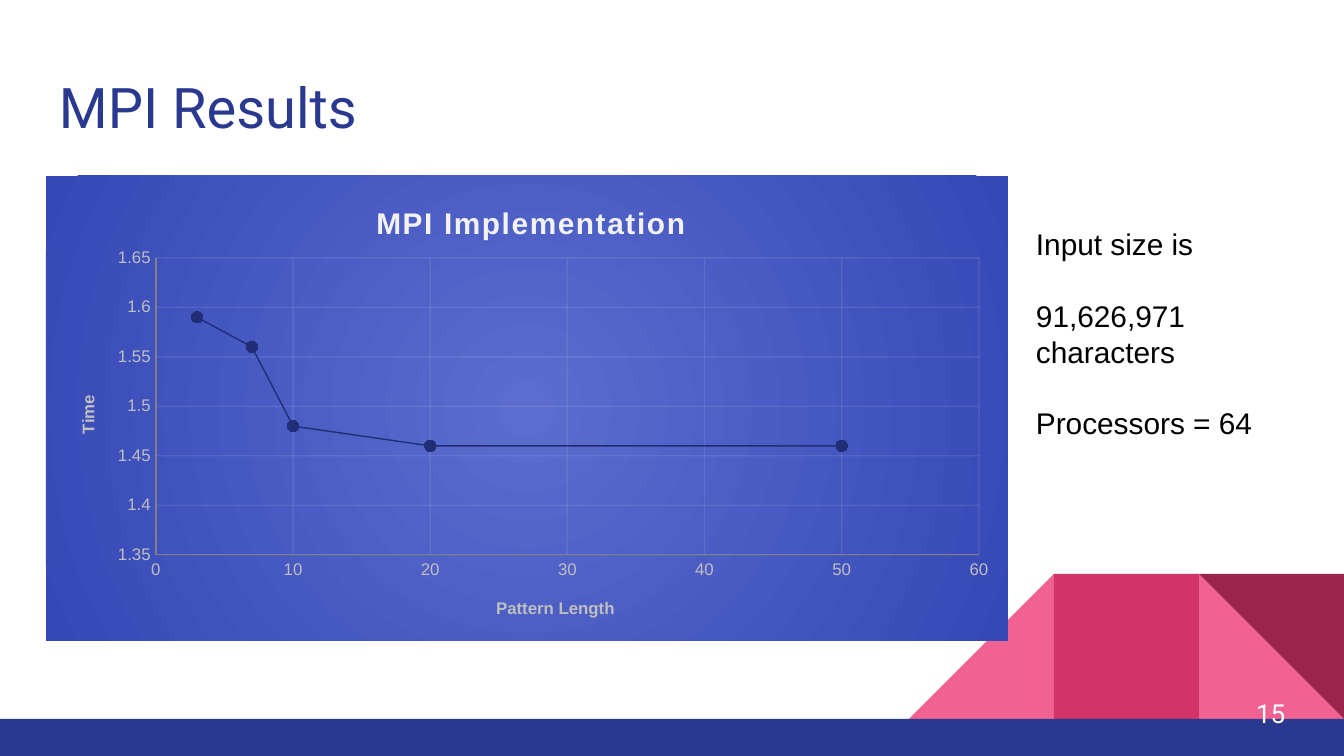
from lxml import etree
from pptx import Presentation
from pptx.chart.data import XyChartData
from pptx.dml.color import RGBColor
from pptx.enum.chart import XL_AXIS_CROSSES, XL_CHART_TYPE, XL_MARKER_STYLE, XL_TICK_MARK
from pptx.enum.shapes import MSO_SHAPE
from pptx.enum.text import MSO_ANCHOR
from pptx.oxml import parse_xml
from pptx.oxml.ns import nsdecls, qn
from pptx.util import Pt

NAVY = RGBColor(0x2A, 0x39, 0x90)
PINK = RGBColor(0xF0, 0x62, 0x92)
ROSE = RGBColor(0xD2, 0x33, 0x69)
WINE = RGBColor(0x9C, 0x25, 0x4D)
WHITE = RGBColor(0xFF, 0xFF, 0xFF)
BLACK = RGBColor(0, 0, 0)
PALE = RGBColor(0xF2, 0xF2, 0xF2)
SILVER = RGBColor(0xBF, 0xBF, 0xBF)
GREY = RGBColor(0x80, 0x80, 0x80)
INK = RGBColor(0x21, 0x2D, 0x74)
MARKER = RGBColor(0x1D, 0x2A, 0x78)
GLOW = RGBColor(0x5C, 0x6D, 0xCF)
EDGE = RGBColor(0x35, 0x48, 0xB6)

# Content
TITLE = "MPI Results"
PAGE = "15"
NOTES = ["Input size is", "91,626,971 characters", "Processors = 64"]
CHART_TITLE = "MPI Implementation"
TIMES = [(3, 1.59), (7, 1.56), (10, 1.48), (20, 1.46), (50, 1.46)]
X_AXIS = dict(title="Pattern Length", low=0, high=60, step=10, title_at=(493, 594))
Y_AXIS = dict(title="Time", low=1.35, high=1.65, step=0.05, title_at=(74, 392))

# Geometry in px
SLIDE_W, SLIDE_H = 1344, 756
CHART_BOX = (46, 176, 962, 465)
PLOT_BOX = (156, 258, 823, 297)
TILE, BAR_TOP = 145, 719
# column from the right, preset, colour, mirrored, rotation
TILES = [
    (1, MSO_SHAPE.RIGHT_TRIANGLE, PINK, False, 0),
    (3, MSO_SHAPE.RIGHT_TRIANGLE, PINK, True, 0),
    (2, MSO_SHAPE.RECTANGLE, ROSE, False, 0),
    (1, MSO_SHAPE.RIGHT_TRIANGLE, WINE, False, 180),
]


def px(n):
    return round(n * 914400 / 134.4)


def add_block(slide, box, preset, color, mirrored=False, rotation=0):
    block = slide.shapes.add_shape(preset, *map(px, box))
    block.shadow.inherit = False
    block.fill.solid()
    block.fill.fore_color.rgb = color
    block.line.fill.background()
    block.rotation = rotation
    if mirrored:
        block._element.spPr.find(qn("a:xfrm")).set("flipH", "1")


def style(font, size, color, name="Arial", bold=False):
    font.size, font.name, font.bold = Pt(size), name, bold
    font.color.rgb = color


def add_text(slide, box, lines, size, color, name="Arial", inset=(13, 13),
             anchor=MSO_ANCHOR.TOP, leading=None, gap=0):
    frame = slide.shapes.add_textbox(*map(px, box)).text_frame
    frame.word_wrap = True
    frame.vertical_anchor = anchor
    frame.margin_left = frame.margin_right = px(inset[0])
    frame.margin_top = frame.margin_bottom = px(inset[1])
    for i, line in enumerate(lines):
        paragraph = frame.paragraphs[0] if i == 0 else frame.add_paragraph()
        if leading:
            paragraph.line_spacing = Pt(leading)
        paragraph.space_before = Pt(gap if i else 0)
        run = paragraph.add_run()
        run.text = line
        style(run.font, size, color, name)


def place(element, index, left, top, width=None, height=None):
    """Give a chart part a fixed place, as fractions of the chart box."""
    for old in element.findall(qn("c:layout")):
        element.remove(old)
    x0, y0, w, h = CHART_BOX
    values = {"x": (left - x0) / w, "y": (top - y0) / h}
    modes = ["xMode", "yMode"]
    layout = etree.Element(qn("c:layout"))
    manual = etree.SubElement(layout, qn("c:manualLayout"))
    if width:
        values.update(w=width / w, h=height / h)
        etree.SubElement(manual, qn("c:layoutTarget")).set("val", "inner")
    for mode in modes:
        etree.SubElement(manual, qn(f"c:{mode}")).set("val", "edge")
    for key, value in values.items():
        etree.SubElement(manual, qn(f"c:{key}")).set("val", f"{value:.4f}")
    element.insert(index, layout)


def set_title(owner, text, at, size, color, spacing=0):
    owner.has_title = True
    title = owner.chart_title if hasattr(owner, "chart_title") else owner.axis_title
    run = title.text_frame.paragraphs[0].add_run()
    run.text = text
    style(run.font, size, color, bold=True)
    run.font._element.set("spc", str(spacing))
    place(title._element, 1, *at)


def format_axis(axis, spec_):
    axis.minimum_scale, axis.maximum_scale = spec_["low"], spec_["high"]
    axis.major_unit = spec_["step"]
    axis.major_tick_mark = axis.minor_tick_mark = XL_TICK_MARK.NONE
    axis.crosses = XL_AXIS_CROSSES.MINIMUM
    axis.tick_labels.number_format = "General"
    axis.tick_labels.number_format_is_linked = False
    style(axis.tick_labels.font, 9, SILVER)
    axis.format.line.color.rgb = GREY
    axis.format.line.width = Pt(0.75)
    axis.has_major_gridlines = True
    grid = axis.major_gridlines.format.line
    grid.color.rgb = PALE
    grid.width = Pt(0.75)
    for color in axis.major_gridlines._xAx.find(qn("c:majorGridlines")).iter(qn("a:srgbClr")):
        etree.SubElement(color, qn("a:alpha")).set("val", "10000")
    set_title(axis, spec_["title"], spec_["title_at"], 9, SILVER)


def add_time_chart(slide):
    data = XyChartData()
    times = data.add_series("Series 1")
    for length, time in TIMES:
        times.add_data_point(length, time)
    chart = slide.shapes.add_chart(
        XL_CHART_TYPE.XY_SCATTER_LINES, *map(px, CHART_BOX), data).chart
    style(chart.font, 10, NAVY)
    chart.has_legend = False
    set_title(chart, CHART_TITLE, (371, 199), 16, PALE, spacing=100)
    format_axis(chart.category_axis, X_AXIS)
    format_axis(chart.value_axis, Y_AXIS)

    plot = chart.plots[0]
    plot.vary_by_categories = False
    series = plot.series[0]
    series.smooth = False
    series.format.line.color.rgb = INK
    series.format.line.width = Pt(0.75)
    series.marker.style = XL_MARKER_STYLE.CIRCLE
    series.marker.size = 6
    series.marker.format.fill.solid()
    series.marker.format.fill.fore_color.rgb = MARKER
    series.marker.format.line.color.rgb = INK

    # Plot position and radial background
    space = chart._chartSpace
    place(space.chart.plotArea, 0, *PLOT_BOX)
    space.chart.addnext(parse_xml(
        f'<c:spPr {nsdecls("c", "a")}><a:gradFill><a:gsLst>'
        f'<a:gs pos="0"><a:srgbClr val="{GLOW}"/></a:gs>'
        f'<a:gs pos="100000"><a:srgbClr val="{EDGE}"/></a:gs></a:gsLst>'
        '<a:path path="circle"><a:fillToRect l="50000" t="50000" r="50000" b="50000"/>'
        '</a:path></a:gradFill><a:ln><a:noFill/></a:ln></c:spPr>'))


def main():
    deck = Presentation()
    deck.slide_width, deck.slide_height = px(SLIDE_W), px(SLIDE_H)
    slide = deck.slides.add_slide(deck.slide_layouts[6])

    # Corner tiles and bottom bar
    for column, preset, color, mirrored, rotation in TILES:
        box = (SLIDE_W - column * TILE, BAR_TOP - TILE, TILE, TILE)
        add_block(slide, box, preset, color, mirrored, rotation)
    add_block(slide, (0, BAR_TOP, SLIDE_W, SLIDE_H - BAR_TOP), MSO_SHAPE.RECTANGLE, NAVY)

    # Title, page number, chart and notes
    add_text(slide, (46, 60, 1252, 89), [TITLE], 30, NAVY, name="Roboto")
    add_text(slide, (1243, 684, 81, 58), [PAGE], 14, WHITE, name="Roboto",
             anchor=MSO_ANCHOR.MIDDLE)
    add_time_chart(slide)
    add_text(slide, (1023, 219, 275, 231), NOTES, 16, BLACK, inset=(13, 7),
             leading=19.2, gap=19.2)

    deck.save("out.pptx")


if __name__ == "__main__":
    main()
